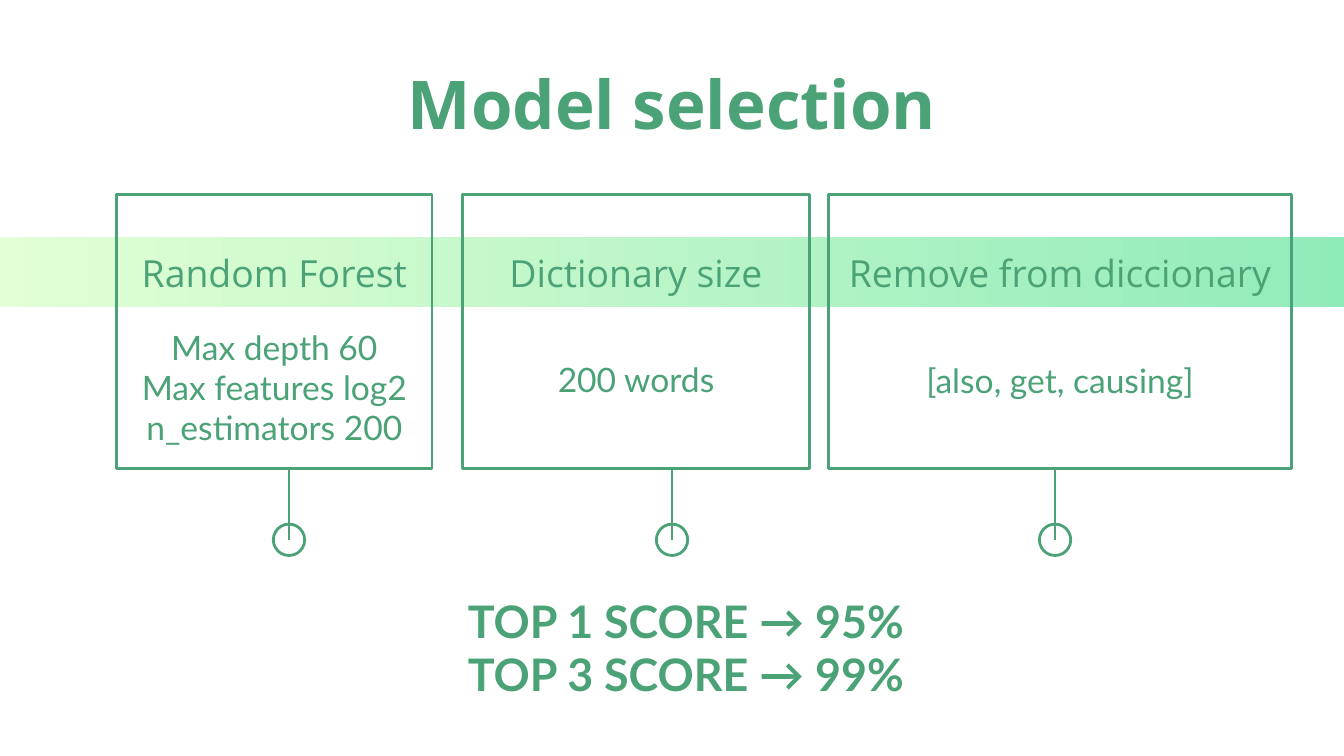
from dataclasses import dataclass

from lxml import etree
from pptx import Presentation
from pptx.dml.color import RGBColor
from pptx.enum.shapes import MSO_CONNECTOR, MSO_SHAPE
from pptx.enum.text import MSO_ANCHOR, PP_ALIGN
from pptx.oxml.ns import qn
from pptx.shapes.autoshape import Shape
from pptx.slide import Slide
from pptx.util import Pt

RECTANGLE, OVAL = MSO_SHAPE.RECTANGLE, MSO_SHAPE.OVAL
STRAIGHT = MSO_CONNECTOR.STRAIGHT
CENTER, MIDDLE = PP_ALIGN.CENTER, MSO_ANCHOR.MIDDLE


@dataclass(frozen=True)
class Theme:
    green: RGBColor = RGBColor(0x4A, 0xA2, 0x76)
    band_start: RGBColor = RGBColor(0xE3, 0xFF, 0xD5)
    band_end: RGBColor = RGBColor(0x90, 0xEB, 0xBA)
    heading_font: str = "Open Sans"
    body_font: str = "Lato"
    title_size: float = 36
    heading_size: float = 20
    body_size: float = 18
    score_size: float = 24
    line_width: float = 1.5
    inset: float = 7.2


@dataclass(frozen=True)
class Box:
    left: float
    top: float
    width: float
    height: float

    def lengths(self) -> tuple[Pt, Pt, Pt, Pt]:
        return Pt(self.left), Pt(self.top), Pt(self.width), Pt(self.height)


@dataclass(frozen=True)
class Card:
    left: float
    width: float
    heading: str
    lines: tuple[str, ...]
    body_top: float
    body_height: float


THEME = Theme()
SLIDE_WIDTH, SLIDE_HEIGHT = 720, 405
BAND = Box(-6, 127.2, 732, 37.6)
CARD_TOP, CARD_HEIGHT = 104.2, 146.8
MARKER_STEP, MARKER_Y, MARKER_SIZE = 205.2, 289.2, 16.8
CARDS = (
    Card(62.5, 169, "Random Forest",
         ("Max depth 60", "Max features log2", "n_estimators 200"), 165.6, 83.5),
    Card(247.6, 186.2, "Dictionary size", ("200 words",), 181.6, 42.5),
    Card(443.8, 248.2, "Remove from diccionary", ("[also, get, causing]",), 182.2, 42.5),
)


def add_outline(slide: Slide, kind: MSO_SHAPE, box: Box) -> Shape:
    """Add an unfilled shape with the theme's outline."""
    shape = slide.shapes.add_shape(kind, *box.lengths())
    shape.shadow.inherit = False
    shape.fill.background()
    shape.line.color.rgb = THEME.green
    shape.line.width = Pt(THEME.line_width)
    return shape


def add_text(slide: Slide, box: Box, lines: tuple[str, ...], font: str, size: float,
             bold: bool = False, margin: float = 0, indent: float = 0) -> None:
    """Add centred text with one paragraph for each line."""
    frame = slide.shapes.add_textbox(*box.lengths()).text_frame
    frame.word_wrap = True
    frame.vertical_anchor = MIDDLE
    frame.margin_left = frame.margin_right = Pt(THEME.inset)
    frame.margin_top = frame.margin_bottom = Pt(THEME.inset)
    frame.text = "\n".join(lines)
    for paragraph in frame.paragraphs:
        paragraph.alignment = CENTER
        paragraph.font.name = font
        paragraph.font.size = Pt(size)
        paragraph.font.bold = bold
        paragraph.font.color.rgb = THEME.green
        if margin:
            properties = paragraph._p.get_or_add_pPr()
            properties.set("marL", str(Pt(margin)))
            properties.set("indent", str(Pt(indent)))


def add_band(slide: Slide) -> None:
    """Add the gradient band behind the card headings."""
    band = add_outline(slide, RECTANGLE, BAND)
    band.line.fill.background()
    band.fill.gradient()
    band.fill.gradient_angle = 0
    for stop, color in zip(band.fill.gradient_stops, (THEME.band_start, THEME.band_end)):
        stop.color.rgb = color


def add_marker(slide: Slide, center: float) -> None:
    """Add a ring and the line that joins it to its card."""
    radius = MARKER_SIZE / 2
    add_outline(slide, OVAL, Box(center - radius, MARKER_Y - radius, MARKER_SIZE, MARKER_SIZE))
    connector = slide.shapes.add_connector(
        STRAIGHT, Pt(center), Pt(CARD_TOP + CARD_HEIGHT), Pt(center), Pt(MARKER_Y))
    connector.line.color.rgb = THEME.green
    connector.line.width = Pt(THEME.line_width)
    etree.SubElement(connector._element.spPr, qn("a:effectLst"))


def add_card(slide: Slide, card: Card) -> None:
    """Add a framed card with its heading and body."""
    add_outline(slide, RECTANGLE, Box(card.left, CARD_TOP, card.width, CARD_HEIGHT))
    add_text(slide, Box(card.left, BAND.top, card.width, BAND.height),
             (card.heading,), THEME.heading_font, THEME.heading_size)
    add_text(slide, Box(card.left, card.body_top, card.width, card.body_height),
             card.lines, THEME.body_font, THEME.body_size)


def main() -> None:
    """Build and save the model selection slide."""
    presentation = Presentation()
    presentation.slide_width, presentation.slide_height = Pt(SLIDE_WIDTH), Pt(SLIDE_HEIGHT)
    slide = presentation.slides.add_slide(presentation.slide_layouts[6])
    add_band(slide)
    add_text(slide, Box(56.6, 42.6, 607, 25.2), ("Model selection",),
             THEME.heading_font, THEME.title_size, bold=True)
    for position, card in enumerate(CARDS):
        add_card(slide, card)
        add_marker(slide, SLIDE_WIDTH / 2 + (position - 1) * MARKER_STEP)
    add_text(slide, Box(214.6, 315.4, 296.6, 62.6),
             ("TOP 1 SCORE → 95%", "TOP 3 SCORE → 99%"),
             THEME.body_font, THEME.score_size, bold=True, margin=36, indent=-27)
    presentation.save("out.pptx")


if __name__ == "__main__":
    main()
